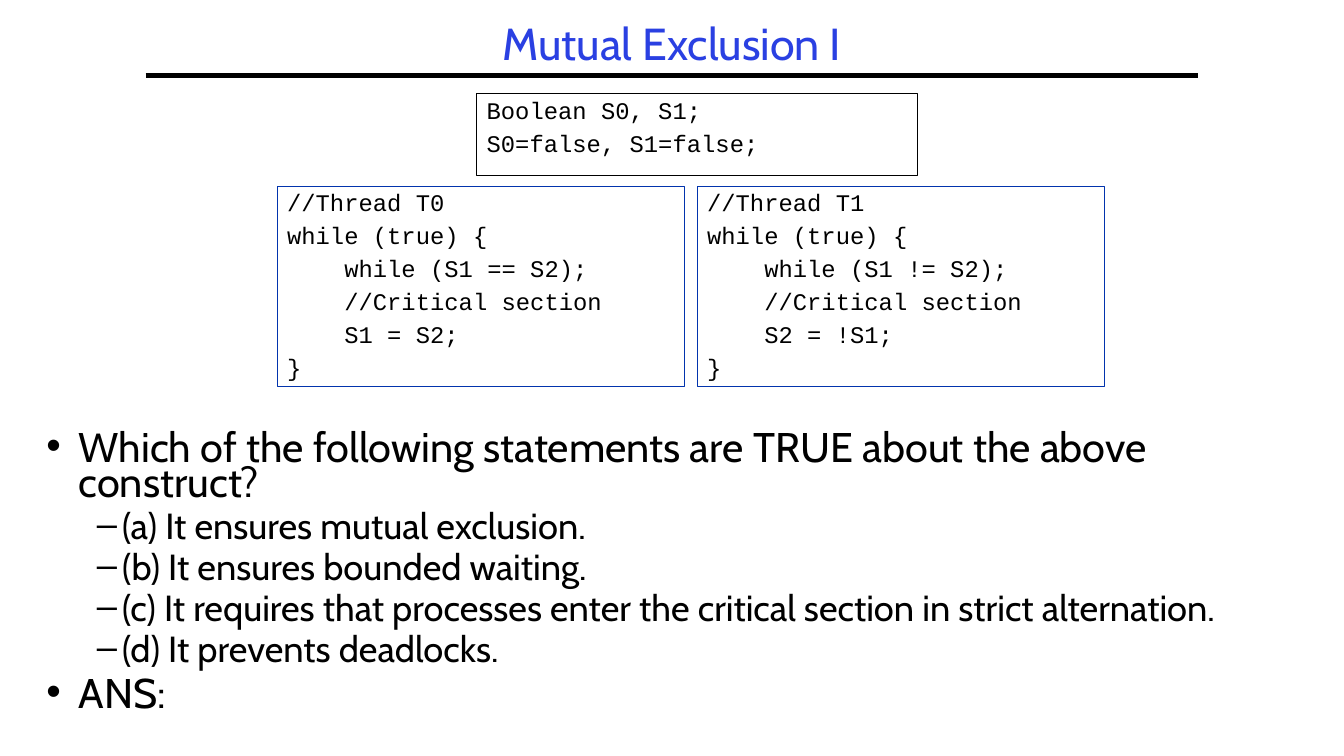
from lxml.etree import SubElement
from pptx import Presentation
from pptx.dml.color import RGBColor
from pptx.enum.shapes import MSO_CONNECTOR as Connector, MSO_SHAPE as Shape
from pptx.enum.text import MSO_ANCHOR as Anchor, MSO_AUTO_SIZE as AutoSize, PP_ALIGN as Align
from pptx.oxml.ns import qn
from pptx.util import Pt

COLORS = {"title": "2A40E2", "text": "000000", "thread": "0234AD"}
# Per list level: bullet, font size, space before, left margin, hanging indent
LEVELS = [("•", 29.6, 9, 23, 23), ("–", 25.9, 7.5, 54, 18)]


class SlideBuilder:
    body_font = "Cabin"
    code_font = "Courier New"

    def __init__(self, slide):
        self.slide = slide

    def color(self, name):
        return RGBColor.from_string(COLORS[name])

    def place(self, shape, left, top, width, height):
        shape.left, shape.top = Pt(left), Pt(top)
        shape.width, shape.height = Pt(width), Pt(height)

    def style(self, para, font, size, color, line_spacing, before=0):
        para.line_spacing = line_spacing
        para.space_before = Pt(before)
        for span in para.runs:
            span.font.name = font
            span.font.size = Pt(size)
            span.font.color.rgb = self.color(color)

    def title(self, text, *bounds):
        title = self.slide.shapes.title
        self.place(title, *bounds)
        frame = title.text_frame
        frame.text = text
        frame.auto_size = AutoSize.NONE
        frame.vertical_anchor = Anchor.MIDDLE
        para = frame.paragraphs[0]
        para.alignment = Align.CENTER
        self.style(para, self.body_font, 32, "title", 0.9)

    def rule(self, left, right, y):
        line = self.slide.shapes.add_connector(
            Connector.STRAIGHT, Pt(left), Pt(y), Pt(right), Pt(y))
        line.line.color.rgb = self.color("text")
        line.line.width = Pt(3)
        SubElement(line.element.spPr, qn("a:effectLst"))

    def code(self, text, line_color, *bounds):
        box = self.slide.shapes.add_shape(Shape.RECTANGLE, *map(Pt, bounds))
        box.shadow.inherit = False
        box.fill.background()
        box.line.color.rgb = self.color(line_color)
        box.line.width = Pt(0.75)
        frame = box.text_frame
        frame.text = text
        frame.vertical_anchor = Anchor.TOP
        for para in frame.paragraphs:
            para.alignment = Align.LEFT
            self.style(para, self.code_font, 17, "text", 0.9, 5.1)

    def bullets(self, items, *bounds):
        body = self.slide.placeholders[1]
        self.place(body, *bounds)
        frame = body.text_frame
        frame.text = "\n".join(text for _, text in items)
        frame.auto_size = AutoSize.NONE
        for para, (level, _) in zip(frame.paragraphs, items):
            bullet, size, before, margin, hanging = LEVELS[level]
            para.level = level
            self.style(para, self.body_font, size, "text", 0.7, before)
            props = para._p.get_or_add_pPr()
            props.set("marL", str(Pt(margin)))
            props.set("indent", str(-Pt(hanging)))
            SubElement(props, qn("a:buChar"), char=bullet)


def main():
    deck = Presentation()
    deck.slide_width, deck.slide_height = Pt(960), Pt(540)
    page = SlideBuilder(deck.slides.add_slide(deck.slide_layouts[1]))

    # Heading
    page.rule(104, 856, 54)
    page.title("Mutual Exclusion I", 104, 12, 752, 42)

    # Shared variables
    page.code("Boolean S0, S1;\nS0=false, S1=false;", "text", 340.5, 67, 315, 58.5)

    # The two threads side by side
    threads = [("S1 == S2", "S1 = S2"), ("S1 != S2", "S2 = !S1")]
    for number, (condition, update) in enumerate(threads):
        lines = [f"//Thread T{number}", "while (true) {", f"    while ({condition});",
                 "    //Critical section", f"    {update};", "}"]
        page.code("\n".join(lines), "thread", 198 + 300 * number, 133, 291, 143)

    # Question and answers
    page.bullets([
        (0, "Which of the following statements are TRUE about the above construct?"),
        (1, "(a) It ensures mutual exclusion."),
        (1, "(b) It ensures bounded waiting."),
        (1, "(c) It requires that processes enter the critical section in strict alternation."),
        (1, "(d) It prevents deadlocks."),
        (0, "ANS:"),
    ], 26, 307, 931.5, 198.5)

    deck.save("out.pptx")


if __name__ == "__main__":
    main()
